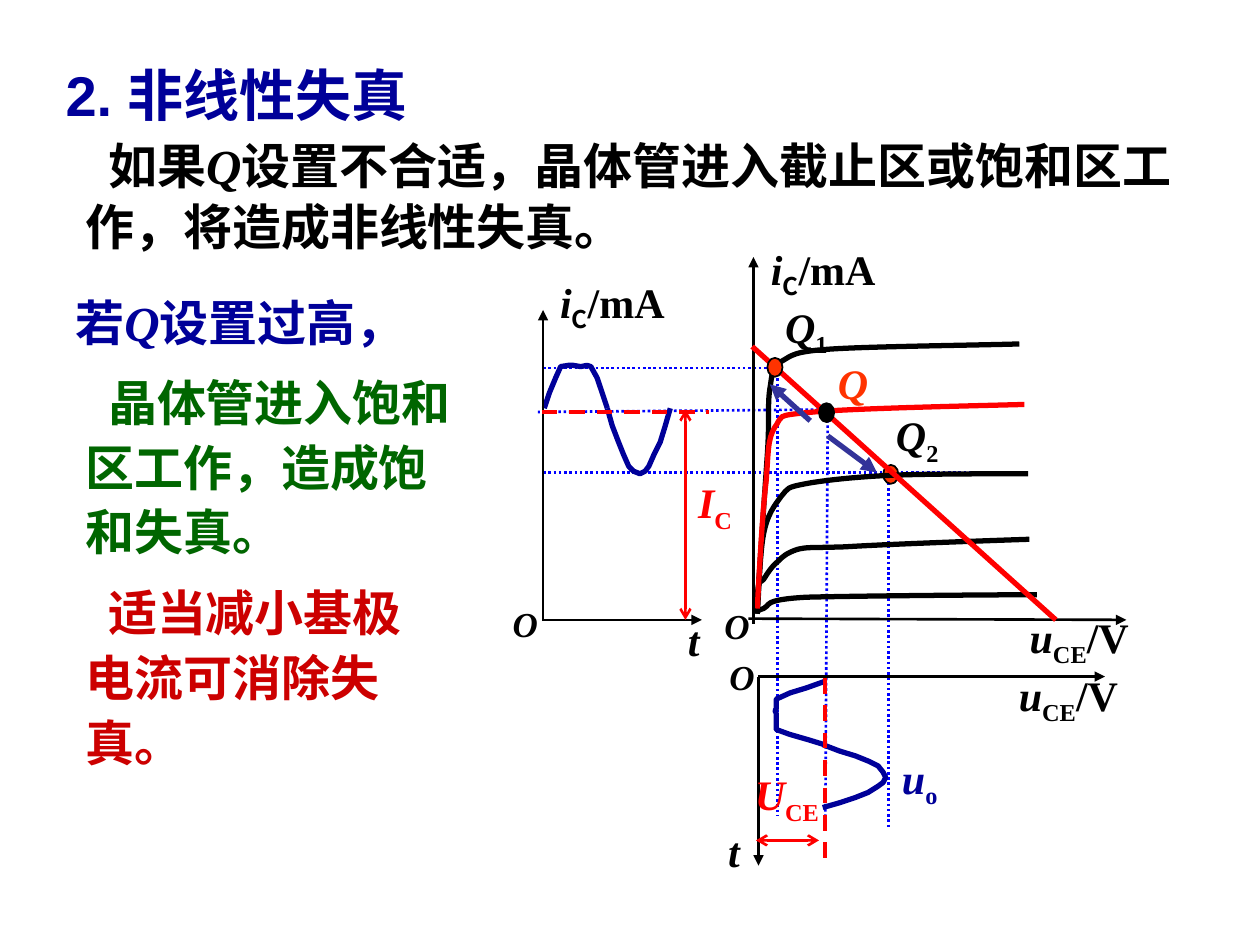
"""Build the slide on nonlinear distortion caused by a poorly placed operating point."""
from dataclasses import dataclass
from typing import Any, Optional

from lxml import etree
from pptx import Presentation, util as u
from pptx.dml.color import RGBColor
from pptx.enum import dml, shapes, text
from pptx.oxml import ns

LATIN, HAN = "Times New Roman", "Noto Sans CJK SC"
BLACK, RED, BLUE, NAVY = "000000", "FF0000", "0000FF", "000099"
ORANGE, INDIGO, GREEN, CRIMSON = "FF3300", "333399", "006600", "CC0000"
DOTTED, DASHED = dml.MSO_LINE.ROUND_DOT, dml.MSO_LINE.DASH
LEFT, CENTER = text.PP_ALIGN.LEFT, text.PP_ALIGN.CENTER
MIDDLE, TOP = text.MSO_ANCHOR.MIDDLE, text.MSO_ANCHOR.TOP
Point = tuple[float, float]


@dataclass
class Run:
    words: str
    typeface: str = LATIN
    italic: bool = False
    subscript: bool = False


@dataclass
class Label:
    box: tuple[float, float, float, float]
    runs: list[Run]
    color: str = BLACK
    size: float = 24
    align: Any = CENTER
    anchor: Any = MIDDLE
    wrap: bool = False
    spacing: float = 1.0
    indent: float = 0


@dataclass
class Segment:
    start: Point
    end: Point
    color: str = BLACK
    width: float = 1.5
    dash: Any = None
    head: Optional[str] = None
    tail: Optional[str] = None


@dataclass
class Curve:
    points: list[Point]
    color: str
    bezier: bool = False


@dataclass
class Dot:
    left: float
    top: float
    color: str


def rgb(value: str) -> RGBColor:
    return RGBColor.from_string(value)


def assign(target: Any, formats: dict[str, Any]) -> None:
    for name, value in formats.items():
        setattr(target, name, value)


def write(shape: Any, label: Label) -> None:
    frame = shape.text_frame
    assign(frame, {"word_wrap": label.wrap, "vertical_anchor": label.anchor})
    paragraph = frame.paragraphs[0]
    assign(paragraph, {"alignment": label.align, "line_spacing": label.spacing})
    if label.indent:
        paragraph._p.get_or_add_pPr().set("indent", str(u.Inches(label.indent)))
    for part in label.runs:
        run = paragraph.add_run()
        run.text = part.words
        assign(run.font, {"name": part.typeface, "size": u.Pt(label.size),
                          "bold": True, "italic": part.italic})
        run.font.color.rgb = rgb(label.color)
        properties = run.font._element
        east_asian = etree.SubElement(properties, ns.qn("a:ea"))
        east_asian.set("typeface", HAN if part.typeface == HAN else LATIN)
        if part.subscript:
            properties.set("baseline", "-25000")


def add_label(slide: Any, label: Label) -> None:
    box = slide.shapes.add_textbox(*map(u.Inches, label.box))
    write(box, label)
    box.text_frame.auto_size = text.MSO_AUTO_SIZE.SHAPE_TO_FIT_TEXT


def add_segment(slide: Any, segment: Segment) -> None:
    ends = map(u.Inches, segment.start + segment.end)
    connector = slide.shapes.add_connector(shapes.MSO_CONNECTOR.STRAIGHT, *ends)
    connector.line.color.rgb = rgb(segment.color)
    assign(connector.line, {"width": u.Pt(segment.width), "dash_style": segment.dash})
    outline = connector.line._get_or_add_ln()
    for tag, kind in (("a:headEnd", segment.head), ("a:tailEnd", segment.tail)):
        if kind:
            etree.SubElement(outline, ns.qn(tag)).set("type", kind)
    etree.SubElement(connector._element.spPr, ns.qn("a:effectLst"))


def bend(outline: Any) -> None:
    """Turn each three straight steps of an outline into one cubic curve."""
    steps = list(outline._element.iter(ns.qn("a:lnTo")))
    route = steps[0].getparent()
    for first in range(0, len(steps), 3):
        cubic = etree.SubElement(route, ns.qn("a:cubicBezTo"))
        for step in steps[first:first + 3]:
            cubic.append(step[0])
            route.remove(step)


def add_curve(slide: Any, curve: Curve) -> None:
    start, *rest = [(u.Inches(x), u.Inches(y)) for x, y in curve.points]
    builder = slide.shapes.build_freeform(*start)
    builder.add_line_segments(rest, close=False)
    outline = builder.convert_to_shape()
    if curve.bezier:
        bend(outline)
    outline.fill.background()
    outline.line.color.rgb = rgb(curve.color)
    outline.line.width = u.Pt(3)
    outline.shadow.inherit = False


def add_dot(slide: Any, dot: Dot) -> None:
    box = map(u.Inches, (dot.left, dot.top, 0.12, 0.15))
    mark = slide.shapes.add_shape(shapes.MSO_SHAPE.OVAL, *box)
    mark.fill.solid()
    mark.fill.fore_color.rgb = rgb(dot.color)
    mark.line.color.rgb = rgb(BLACK)
    mark.line.width = u.Pt(1)
    mark.shadow.inherit = False


def symbol(letter: str, sub: str = "", unit: str = "", sub_face: str = LATIN) -> list[Run]:
    parts = [Run(letter, italic=True), Run(sub, sub_face, subscript=True), Run(unit)]
    return [part for part in parts if part.words]


def guide(start: Point, end: Point) -> Segment:
    return Segment(start, end, BLUE, dash=DOTTED)


def axis(start: Point, end: Point) -> Segment:
    return Segment(start, end, tail="triangle")


def span(start: Point, end: Point) -> Segment:
    return Segment(start, end, RED, head="arrow", tail="arrow")


def prose(box: tuple, runs: list[Run], color: str, spacing: float = 1.1, indent: float = 0) -> Label:
    return Label(box, runs, color, 28, LEFT, wrap=True, spacing=spacing, indent=indent)


TITLE = Label((0.42, 0.5, 6.08, 0.5), [Run("2. ", "Arial"), Run("非线性失真", HAN)],
              NAVY, 32, LEFT, wrap=True)
Q = Run("Q", italic=True)
PROSE = [
    prose((0.58, 1, 9.08, 1.08), [Run("如果", HAN), Q, Run(
        "设置不合适，晶体管进入截止区或饱和区工作，将造成非线性失真。", HAN)], BLACK, 1.05, 0.18),
    prose((0.5, 2.22, 3.08, 0.62), [Run("若", HAN), Q, Run("设置过高，", HAN)], NAVY),
    prose((0.58, 2.86, 3.16, 1.64), [Run("晶体管进入饱和区工作，造成饱和失真。", HAN)], GREEN, indent=0.18),
    prose((0.58, 4.53, 2.8, 1.64), [Run("适当减小基极电流可消除失真。", HAN)], CRIMSON, indent=0.18)]
GUIDES = [guide((4.31, 2.92), (6.13, 2.92)), guide((4.31, 3.75), (8.02, 3.75)),
          guide((6.17, 2.92), (6.17, 6.47)), guide((7.05, 3.79), (7.05, 6.58)),
          guide((6.58, 3.25), (4.27, 3.27)), guide((6.57, 3.25), (6.55, 6.58))]
WAVES = [Curve(points, NAVY) for points in (
    [(6.54, 5.41), (6.4, 5.46), (6.27, 5.5), (6.16, 5.55), (6.16, 5.58), (6.16, 5.63), (6.15, 5.64),
     (6.16, 5.66), (6.16, 5.68), (6.16, 5.73), (6.16, 5.79), (6.27, 5.83), (6.41, 5.87), (6.54, 5.91)],
    [(6.53, 6.41), (6.67, 6.37), (6.79, 6.33), (6.89, 6.29), (6.97, 6.24), (7.01, 6.21), (7.03, 6.17),
     (7.01, 6.13), (6.97, 6.08), (6.89, 6.04), (6.79, 6), (6.66, 5.96), (6.53, 5.91)],
    [(4.32, 3.24), (4.36, 3.12), (4.41, 3), (4.45, 2.91), (4.51, 2.9), (4.53, 2.9), (4.55, 2.9),
     (4.61, 2.91), (4.66, 2.9), (4.69, 2.91), (4.74, 3), (4.78, 3.12), (4.82, 3.24)],
    [(5.32, 3.24), (5.28, 3.38), (5.24, 3.51), (5.19, 3.61), (5.15, 3.7), (5.12, 3.74), (5.08, 3.76),
     (5.03, 3.74), (4.99, 3.7), (4.95, 3.61), (4.91, 3.51), (4.86, 3.38), (4.82, 3.24)])]
CHARACTERISTICS = [Curve(points, color, True) for color, points in (
    (BLACK, [(6.01, 4.87), (6.02, 4.86), (5.99, 4.85), (6.06, 4.83), (6.12, 4.81), (6.03, 4.76),
             (6.4, 4.74), (6.76, 4.73), (7.85, 4.72), (8.23, 4.72)]),
    (BLACK, [(6.01, 4.87), (6.01, 4.83), (6.01, 4.69), (6.02, 4.65), (6.03, 4.6), (6.03, 4.63),
             (6.06, 4.6), (6.08, 4.57), (6.12, 4.5), (6.17, 4.46), (6.21, 4.42), (6.24, 4.39),
             (6.33, 4.36), (6.42, 4.34), (6.4, 4.35), (6.71, 4.34), (7.02, 4.32), (7.87, 4.29), (8.17, 4.28)]),
    (BLACK, [(6.01, 4.87), (6.02, 4.77), (6.03, 4.39), (6.06, 4.24), (6.09, 4.08), (6.15, 4.01),
             (6.2, 3.94), (6.26, 3.87), (6.24, 3.87), (6.39, 3.84), (6.55, 3.81), (6.84, 3.78),
             (7.14, 3.77), (7.43, 3.76), (7.95, 3.76), (8.16, 3.76)]),
    (BLACK, [(6.01, 4.83), (6.02, 4.63), (6.07, 3.9), (6.09, 3.61), (6.11, 3.32), (6.09, 3.22),
             (6.11, 3.09), (6.13, 2.97), (6.12, 2.93), (6.2, 2.87), (6.29, 2.82), (6.29, 2.79),
             (6.61, 2.77), (6.92, 2.75), (7.78, 2.74), (8.09, 2.73)]),
    (RED, [(6.01, 4.83), (6.02, 4.66), (6.05, 4.06), (6.08, 3.83), (6.1, 3.59), (6.09, 3.49),
           (6.15, 3.39), (6.22, 3.3), (6.13, 3.3), (6.46, 3.27), (6.79, 3.24), (7.78, 3.22), (8.13, 3.21)]))]
SEGMENTS = [
    axis((6.02, 5.37), (8.77, 5.37)), axis((6.02, 5.37), (6.02, 6.87)),
    axis((4.32, 4.92), (5.57, 4.92)), axis((4.31, 4.93), (4.31, 2.46)),
    axis((5.98, 4.95), (5.98, 2.04)), axis((5.94, 4.91), (8.94, 4.92)),
    Segment((6.55, 5.38), (6.55, 6.88), RED, 2.25, DASHED),
    Segment((4.3, 3.27), (5.63, 3.27), RED, 2.25, DASHED),
    span((6, 6.67), (6.5, 6.67)), span((5.44, 3.25), (5.44, 4.92)),
    Segment((5.97, 2.75), (8.38, 4.92), RED, 3),
    Segment((6.57, 3.46), (6.96, 3.75), INDIGO, 3, tail="triangle"),
    Segment((6.43, 3.34), (6.11, 3.05), INDIGO, 3, tail="triangle")]
Q2_DOT = Dot(7.01, 3.69, ORANGE)
UPPER_DOTS = [Dot(6.5, 3.2, BLACK), Dot(6.09, 2.84, ORANGE)]
LABELS = [
    Label((7.01, 3.2, 0.54, 0.56), symbol("Q", "2")), Label((6.13, 2.34, 0.54, 0.56), symbol("Q", "1")),
    Label((6.55, 2.79, 0.44, 0.5), symbol("Q"), ORANGE),
    Label((7.06, 5.92, 0.48, 0.56), symbol("u", "o"), NAVY, align=LEFT, anchor=TOP),
    Label((5.89, 6.05, 0.71, 0.56), symbol("U", "CE"), RED),
    Label((5.44, 3.73, 0.47, 0.56), symbol("I", "C"), RED),
    Label((7.88, 5.26, 1.2, 0.56), symbol("u", "CE", "/V"), wrap=True),
    Label((8.07, 4.8, 0.99, 0.56), symbol("u", "CE", "/V")),
    Label((4.28, 2.14, 1.16, 0.56), symbol("i", "C", "/mA", HAN), wrap=True),
    Label((6.02, 1.88, 1.36, 0.56), symbol("i", "C", "/mA", HAN), align=LEFT, wrap=True),
    *(Label((x, y, 0.29, 0.5), symbol("t")) for x, y in ((5.68, 6.5), (5.36, 4.83))),
    *(Label((x, y, 0.4, 0.44), symbol("O"), size=20, align=LEFT, anchor=TOP)
      for x, y in ((5.65, 4.75), (5.69, 5.15), (3.97, 4.73)))]


def main() -> None:
    deck = Presentation()
    assign(deck, {"slide_width": u.Inches(10), "slide_height": u.Inches(7.5)})
    slide = deck.slides.add_slide(deck.slide_layouts[5])
    heading = slide.shapes.title
    assign(heading, dict(zip(("left", "top", "width", "height"), map(u.Inches, TITLE.box))))
    write(heading, TITLE)
    heading.text_frame.auto_size = text.MSO_AUTO_SIZE.NONE
    for draw, items in ((add_label, PROSE), (add_segment, GUIDES), (add_dot, [Q2_DOT]),
                        (add_curve, WAVES + CHARACTERISTICS), (add_segment, SEGMENTS),
                        (add_dot, UPPER_DOTS), (add_label, LABELS)):
        for item in items:
            draw(slide, item)
    deck.save("out.pptx")


if __name__ == "__main__":
    main()
